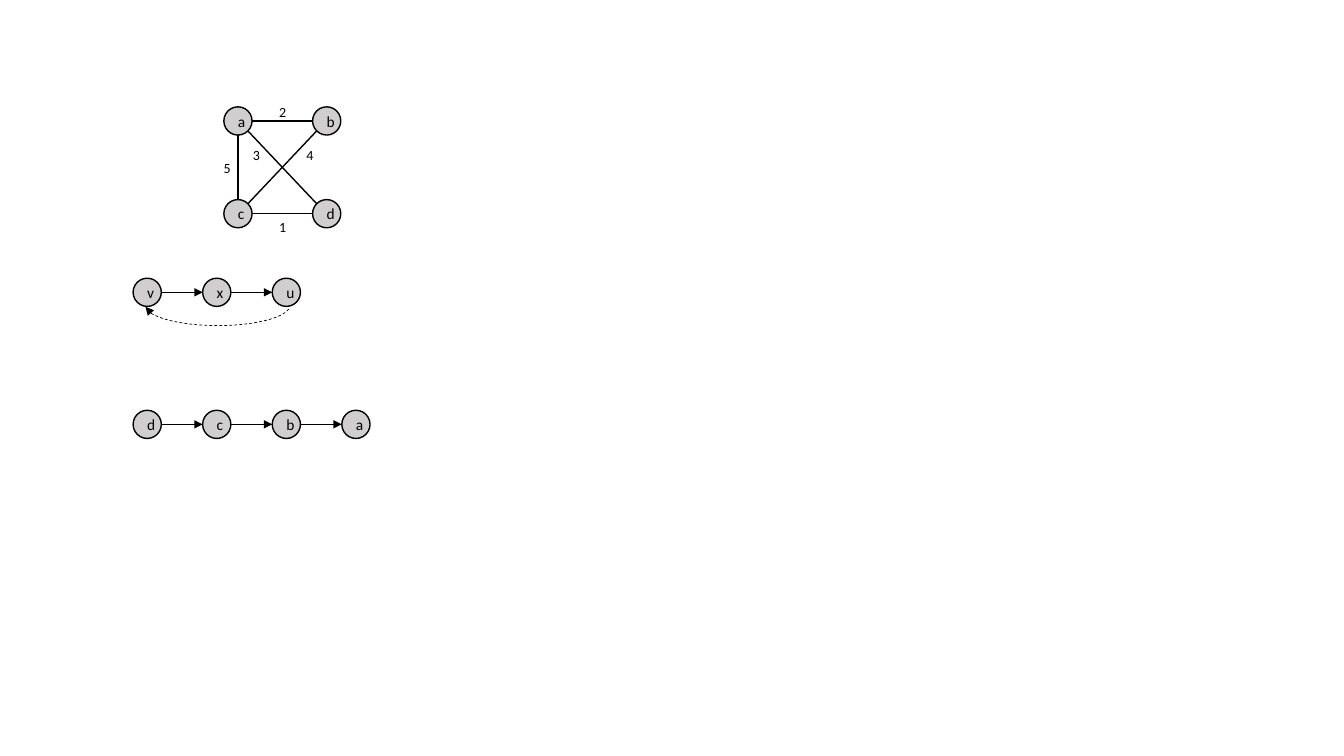
import pptx
import pptx.util
import pptx.dml.color
import pptx.enum.dml
import pptx.enum.shapes
import pptx.enum.text
import pptx.oxml
import pptx.oxml.ns
import lxml.etree

Inches = pptx.util.Inches
Pt = pptx.util.Pt
SHAPE = pptx.enum.shapes.MSO_SHAPE

BLACK = pptx.dml.color.RGBColor(0x00, 0x00, 0x00)
GREY = pptx.dml.color.RGBColor(0xD0, 0xCE, 0xCE)

SIZE = 0.28        # node diameter
MID = SIZE / 2
RIM = 0.24         # where a diagonal leaves a node
STEP = 0.69        # distance between nodes of a chain


def style(item, **form):
    """Set each format value on the item."""
    for name, value in form.items():
        setattr(item, name, value)


def stroke(shape, width, arrow=False, **form):
    """Draw a black line, with an arrowhead at its end if asked."""
    shape.line.color.rgb = BLACK
    style(shape.line, width=Pt(width), **form)
    if arrow:
        qn = pptx.oxml.ns.qn
        line = shape._element.spPr.find(qn("a:ln"))
        lxml.etree.SubElement(line, qn("a:tailEnd"), type="triangle")


def write(shape, text, size):
    """Put one short black text into the shape."""
    run = shape.text_frame.paragraphs[0].add_run()
    run.text = text
    style(run.font, name="Calibri", size=Pt(size))
    run.font.color.rgb = BLACK


def node(slide, left, top, text):
    disc = slide.shapes.add_shape(
        SHAPE.OVAL, Inches(left), Inches(top), Inches(SIZE), Inches(SIZE))
    disc.shadow.inherit = False
    disc.fill.solid()
    disc.fill.fore_color.rgb = GREY
    stroke(disc, 1)
    write(disc, text, 11)
    disc.text_frame.vertical_anchor = pptx.enum.text.MSO_ANCHOR.MIDDLE
    disc.text_frame.paragraphs[0].alignment = pptx.enum.text.PP_ALIGN.CENTER


def edge(slide, x1, y1, x2, y2, arrow=False):
    line = slide.shapes.add_connector(
        pptx.enum.shapes.MSO_CONNECTOR.STRAIGHT,
        Inches(x1), Inches(y1), Inches(x2), Inches(y2))
    lxml.etree.SubElement(
        line._element.spPr, pptx.oxml.ns.qn("a:effectLst"))
    stroke(line, 1, arrow)


def label(slide, left, top, text):
    box = slide.shapes.add_textbox(
        Inches(left), Inches(top), Inches(0.26), Inches(0.27))
    style(box.text_frame, word_wrap=False,
          auto_size=pptx.enum.text.MSO_AUTO_SIZE.SHAPE_TO_FIT_TEXT)
    write(box, text, 10)


def graph(slide, left, top, wide, high):
    """Weighted graph with a node in each corner of its box."""
    right, low = left + wide - SIZE, top + high - SIZE
    for x, y, text in ((left, top, "a"), (left, low, "c"),
                       (right, top, "b"), (right, low, "d")):
        node(slide, x, y, text)

    # Sides
    for y in (top, low):
        edge(slide, left + SIZE, y + MID, right, y + MID)
    edge(slide, left + MID, top + SIZE, left + MID, low)

    # Diagonals
    near, far = left + RIM, right + SIZE - RIM
    head, foot = top + RIM, low + SIZE - RIM
    edge(slide, near, head, far, foot)
    edge(slide, near, foot, far, head)

    # Weights
    for x, y, text in ((-0.1, 0.47, "5"), (0.45, -0.08, "2"),
                       (0.45, 1.06, "1"), (0.19, 0.34, "3"),
                       (0.72, 0.34, "4")):
        label(slide, left + x, top + y, text)


def chain(slide, left, top, names):
    """Row of nodes, each with an arrow to the next."""
    for i, name in enumerate(names):
        x = left + i * STEP
        node(slide, x, top, name)
        if i:
            edge(slide, x - STEP + SIZE, top + MID, x, top + MID, True)


def loop(slide, left, top, wide, high):
    """Dashed arc that leads back to the first node."""
    arc = slide.shapes.add_shape(
        SHAPE.ARC, Inches(left), Inches(top), Inches(wide), Inches(high))
    arc.adjustments[0] = 2.03
    arc.adjustments[1] = 107.11
    arc.shadow.inherit = False
    arc.fill.background()
    stroke(arc, 0.5, True, dash_style=pptx.enum.dml.MSO_LINE.DASH)


def main():
    deck = pptx.Presentation()
    style(deck, slide_width=Inches(13.33), slide_height=Inches(7.5))
    slide = deck.slides.add_slide(deck.slide_layouts[6])
    graph(slide, 2.22, 1.06, 1.16, 1.2)
    chain(slide, 1.32, 2.76, "vxu")
    loop(slide, 1.44, 2.82, 1.44, 0.41)
    chain(slide, 1.32, 4.07, "dcba")
    deck.save("out.pptx")


if __name__ == "__main__":
    main()
